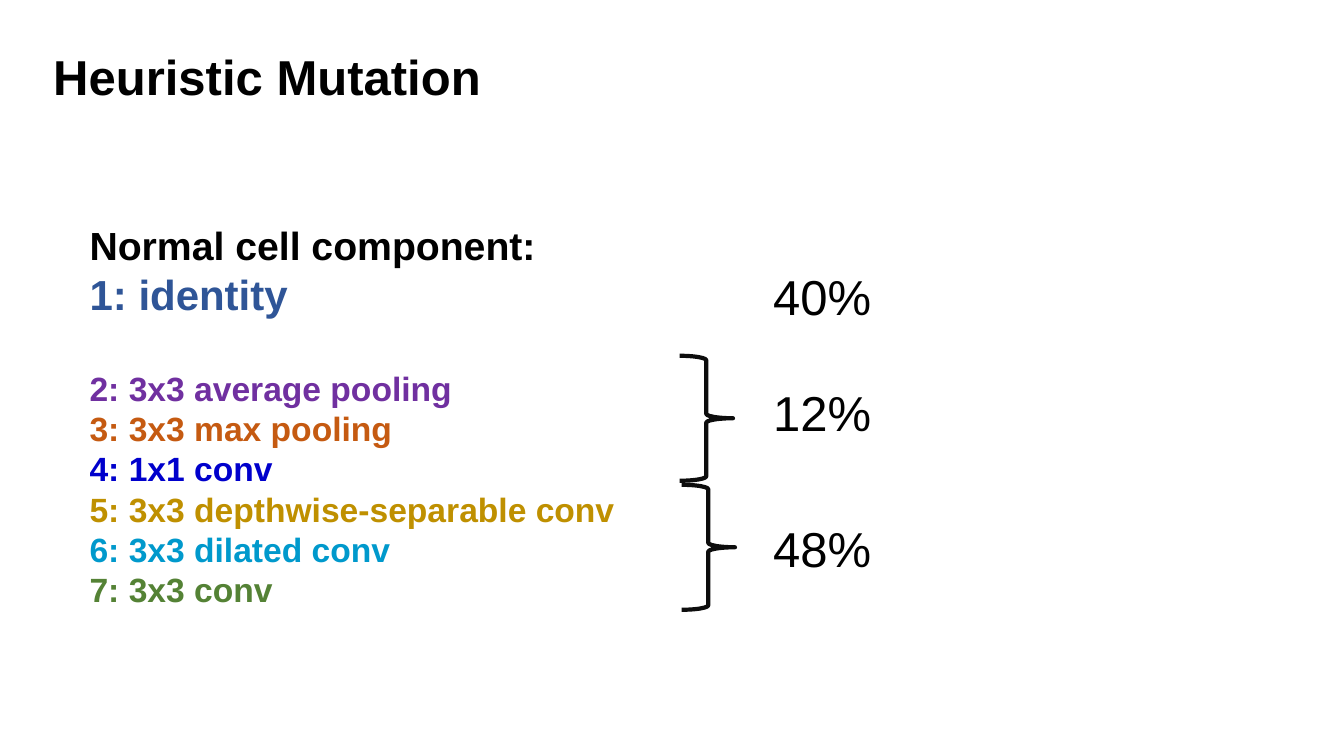
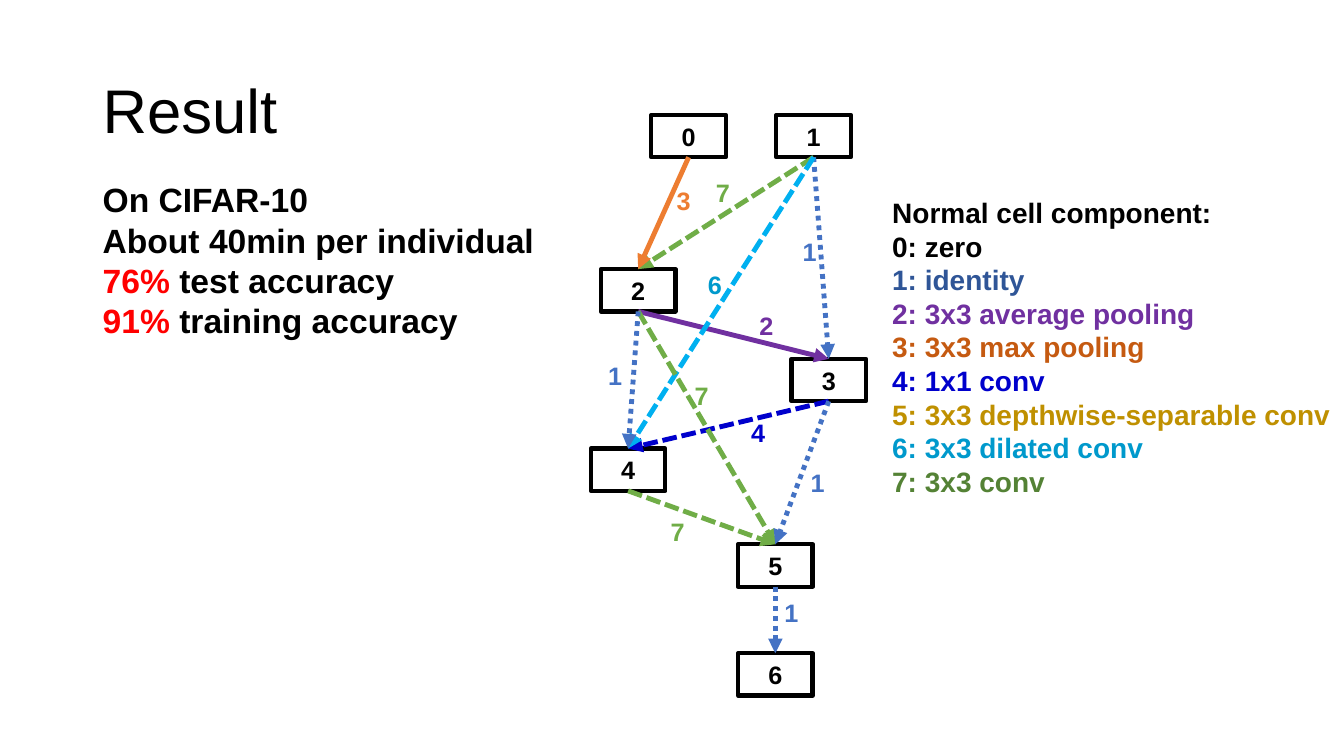
import lxml.etree
import pptx
import pptx.dml.color
import pptx.enum.dml
import pptx.enum.shapes
import pptx.enum.text
import pptx.oxml.ns
import pptx.util

Inches = pptx.util.Inches
Dash = pptx.enum.dml.MSO_LINE
Shape = pptx.enum.shapes.MSO_SHAPE
Align = pptx.enum.text.PP_ALIGN
Anchor = pptx.enum.text.MSO_ANCHOR

FONT = "Arial"
COLOURS = {
    "black": "000000",
    "brace": "0D0D0D",
    "red": "FF0000",
    "identity": "2F5597",
    "average": "7030A0",
    "max": "C55A11",
    "point": "0000CC",
    "separable": "BF9000",
    "dilated": "0099CC",
    "conv": "548235",
    "identity edge": "4472C4",
    "max edge": "ED7D31",
    "dilated edge": "00B0F0",
    "conv edge": "70AD47",
}
HEADING = "Normal cell component:"
OPERATIONS = [
    ("0: zero", "black"),
    ("1: identity", "identity"),
    ("2: 3x3 average pooling", "average"),
    ("3: 3x3 max pooling", "max"),
    ("4: 1x1 conv", "point"),
    ("5: 3x3 depthwise-separable conv", "separable"),
    ("6: 3x3 dilated conv", "dilated"),
    ("7: 3x3 conv", "conv"),
]

# Operation: edge colour, label colour, dash
EDGE_STYLES = {
    1: ("identity edge", "identity edge", Dash.ROUND_DOT),
    2: ("average", "average", None),
    3: ("max edge", "max edge", None),
    4: ("point", "point", Dash.SQUARE_DOT),
    6: ("dilated edge", "dilated", Dash.SQUARE_DOT),
    7: ("conv edge", "conv edge", Dash.SQUARE_DOT),
}
NODE_SIZE = (0.74, 0.42)
LABEL_SIZE = (0.34, 0.4)
# Offsets of the nodes from the top left of the graph
NODES = [(0.6, 0), (1.84, 0), (0.1, 1.53), (1.99, 2.42),
         (0, 3.31), (1.46, 4.26), (1.46, 5.34)]
# Start node, end node, operation, centre of the label
EDGES = [
    (2, 3, 2, (1.74, 2.09)),
    (5, 6, 1, (1.99, 4.94)),
    (1, 2, 7, (1.31, 0.77)),
    (4, 5, 7, (0.86, 4.13)),
    (1, 3, 1, (2.17, 1.36)),
    (3, 4, 4, (1.66, 3.15)),
    (0, 2, 3, (0.92, 0.85)),
    (1, 4, 6, (1.23, 1.68)),
    (2, 5, 7, (1.1, 2.78)),
    (2, 4, 1, (0.24, 2.59)),
    (3, 5, 1, (2.25, 3.65)),
]


def colour(name):
    return pptx.dml.color.RGBColor.from_string(COLOURS[name])


def add_run(para, text, size, name="black", bold=True):
    span = para.add_run()
    span.text = text
    span.font.name = FONT
    span.font.size = pptx.util.Pt(size)
    span.font.bold = bold
    span.font.color.rgb = colour(name)


def add_text(page, box, lines, bold=True, align=Align.LEFT, anchor=Anchor.TOP):
    """Write lines, each a list of (text, size, colour name), and return the paragraphs."""
    frame = page.shapes.add_textbox(*map(Inches, box)).text_frame
    frame.word_wrap = True
    frame.vertical_anchor = anchor
    paras = []
    for line in lines:
        para = frame.add_paragraph() if paras else frame.paragraphs[0]
        para.alignment = align
        for text, size, name in line:
            add_run(para, text, size, name, bold)
        paras.append(para)
    return paras


def add_outline(page, kind, box, name):
    shape = page.shapes.add_shape(kind, *map(Inches, box))
    shape.shadow.inherit = False
    shape.fill.background()
    shape.line.color.rgb = colour(name)
    shape.line.width = pptx.util.Pt(3)
    return shape


def add_component_list(page, box, heading_size, sizes):
    """List the operations; sizes maps each listed number to its text size."""
    lines = [[(HEADING, heading_size, "black")]]
    for number, size in sizes.items():
        text, name = OPERATIONS[number]
        lines.append([(text, size, name)])
    return add_text(page, box, lines)


def add_probabilities(page, left, top):
    for x, y in [(0, 0.94), (0.02, 2.22)]:
        add_outline(page, Shape.RIGHT_BRACE, (left + x, top + y, 0.53, 1.24), "brace")
    for text, y in [("40%", 0), ("12%", 1.16), ("48%", 2.5)]:
        add_text(page, (left + 0.83, top + y, 1.81, 0.69),
                 [[(text, 35, "black")]], bold=False)


def add_node(page, left, top, text):
    node = add_outline(page, Shape.RECTANGLE, (left, top, *NODE_SIZE), "black")
    node.text_frame.vertical_anchor = Anchor.MIDDLE
    para = node.text_frame.paragraphs[0]
    para.alignment = Align.CENTER
    add_run(para, text, 18)
    return node


def add_edge(page, start, end, name, dash):
    """Draw an arrow from the bottom of one node to the top of another."""
    edge = page.shapes.add_connector(pptx.enum.shapes.MSO_CONNECTOR.STRAIGHT, 0, 0, 0, 0)
    edge.begin_connect(start, 2)
    edge.end_connect(end, 0)
    edge.line.color.rgb = colour(name)
    edge.line.width = pptx.util.Pt(3.5)
    if dash:
        edge.line.dash_style = dash
    qn = pptx.oxml.ns.qn
    properties = edge.line._get_or_add_ln()
    lxml.etree.SubElement(properties, qn("a:tailEnd"), type="triangle")
    lxml.etree.SubElement(properties.getparent(), qn("a:effectLst"))


def add_cell_graph(page, left, top):
    nodes = [add_node(page, left + x, top + y, str(number))
             for number, (x, y) in enumerate(NODES)]
    width, height = LABEL_SIZE
    for start, end, operation, (x, y) in EDGES:
        edge_colour, label_colour, dash = EDGE_STYLES[operation]
        add_edge(page, nodes[start], nodes[end], edge_colour, dash)
        add_text(page, (left + x - width / 2, top + y - height / 2, width, height),
                 [[(str(operation), 18, label_colour)]], align=Align.CENTER)


def build_mutation(page):
    add_text(page, (0.43, 0.41, 6.23, 0.69), [[("Heuristic Mutation", 35, "black")]])
    sizes = {1: 30, **dict.fromkeys(range(2, 8), 24)}
    paras = add_component_list(page, (0.79, 2.15, 5.46, 4.41), 28, sizes)
    paras[2].space_before = pptx.util.Pt(34.5)
    add_probabilities(page, 6.74, 2.59)


def build_result(page):
    title = add_text(page, (0.92, 0.4, 11.5, 1.45), [[("Result", 44, "black")]],
                     bold=False, anchor=Anchor.MIDDLE)
    title[0].line_spacing = 0.9
    add_text(page, (0.92, 1.73, 4.82, 1.72), [
        [("On CIFAR-10", 24, "black")],
        [("About 40min per individual", 24, "black")],
        [("76% ", 24, "red"), ("test accuracy", 24, "black")],
        [("91% ", 24, "red"), ("training accuracy", 24, "black")],
    ])
    add_component_list(page, (8.75, 1.89, 4.58, 3.47), 20, dict.fromkeys(range(8), 20))
    add_cell_graph(page, 5.86, 1.14)


def main():
    deck = pptx.Presentation()
    deck.slide_width = Inches(13.33)
    deck.slide_height = Inches(7.5)
    for build in (build_mutation, build_result):
        build(deck.slides.add_slide(deck.slide_layouts[6]))
    deck.save("out.pptx")


if __name__ == "__main__":
    main()
